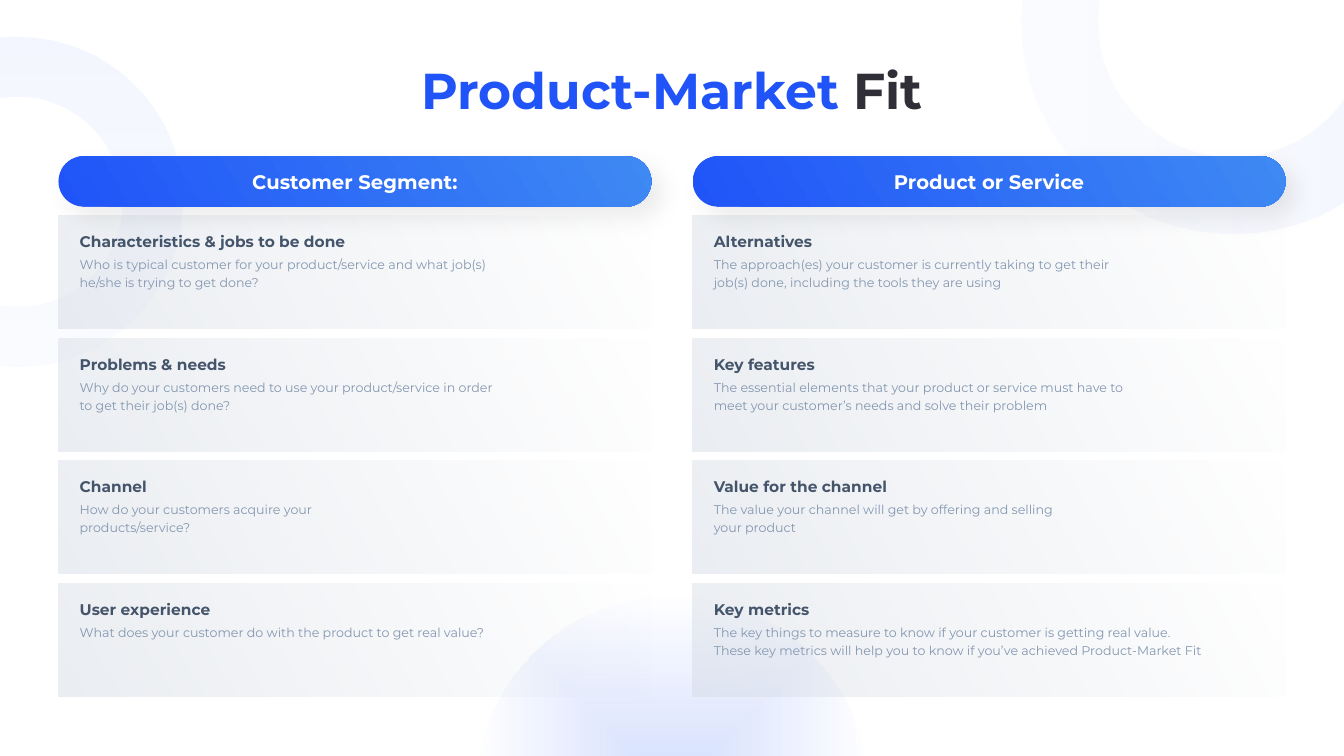
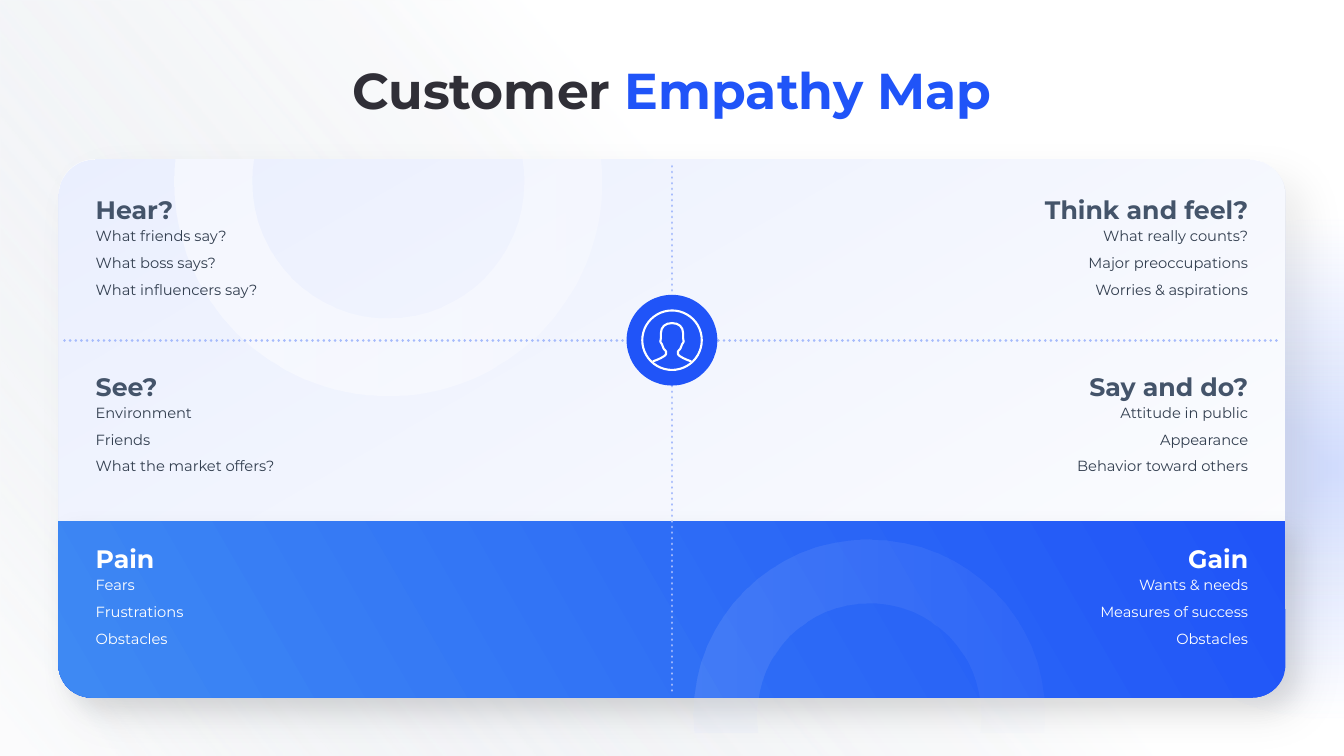
from math import acos, cos, pi, sin, tan

from lxml import etree
from pptx import Presentation
from pptx.dml.color import RGBColor
from pptx.enum.dml import MSO_LINE
from pptx.enum.shapes import MSO_CONNECTOR, MSO_SHAPE
from pptx.enum.text import MSO_ANCHOR, PP_ALIGN
from pptx.oxml import parse_xml
from pptx.oxml.ns import nsdecls, qn
from pptx.util import Inches, Pt

LEFT, CENTER, RIGHT = PP_ALIGN.LEFT, PP_ALIGN.CENTER, PP_ALIGN.RIGHT
RECTANGLE, ELLIPSE = MSO_SHAPE.RECTANGLE, MSO_SHAPE.OVAL
ROUNDED, ROUNDED_PAIR = MSO_SHAPE.ROUNDED_RECTANGLE, MSO_SHAPE.ROUND_2_SAME_RECTANGLE
STRAIGHT = MSO_CONNECTOR.STRAIGHT

FONT = "Montserrat"
BLUE = RGBColor(0x20, 0x54, 0xF8)
SKY = RGBColor(0x3E, 0x89, 0xF3)
PALE_BLUE = RGBColor(0xD2, 0xDD, 0xFE)
DOT_BLUE = RGBColor(0xA6, 0xBB, 0xFC)
GRAY = RGBColor(0xD6, 0xDC, 0xE5)
INK = RGBColor(0x30, 0x2F, 0x37)
SLATE = RGBColor(0x44, 0x54, 0x6A)
DARK_SLATE = RGBColor(0x33, 0x3F, 0x50)
MUTED = RGBColor(0x84, 0x97, 0xB0)
WHITE = RGBColor(0xFF, 0xFF, 0xFF)

BLUE_BLEND = [(0, BLUE, 100), (100, SKY, 100)]
CARD_BLEND = [(0, GRAY, 50), (100, GRAY, 0)]
GLOW_BLEND = [(0, PALE_BLUE, 100), (100, PALE_BLUE, 0)]

# Shared grid, in inches
SLIDE_WIDTH, SLIDE_HEIGHT = 13.33, 7.5
MARGIN, CONTENT_WIDTH = 0.58, 12.17
COLUMN_WIDTH, COLUMN_STEP, CARD_INDENT = 5.88, 6.29, 0.21
ROW_TOPS, ROW_HEIGHT = (2.14, 3.36, 4.57, 5.79), 1.12
CENTER_X, CENTER_Y = SLIDE_WIDTH / 2, SLIDE_HEIGHT * 0.45


def paint(shape, stops, angle=None, shadow=None):
    """Fill with (position, colour, opacity) stops, linear at angle or from the centre;
    shadow is (opacity, blur, distance)."""
    shape.line.fill.background()
    shape.shadow.inherit = False
    shape.fill.background()
    properties = shape.element.spPr
    gradient = parse_xml(f'<a:gradFill {nsdecls("a")} rotWithShape="1"><a:gsLst/></a:gradFill>')
    for position, color, opacity in stops:
        stop = etree.SubElement(gradient[0], qn("a:gs"), pos=str(position * 1000))
        rgb = etree.SubElement(stop, qn("a:srgbClr"), val=str(color))
        etree.SubElement(rgb, qn("a:alpha"), val=str(opacity * 1000))
    if angle is None:
        radial = etree.SubElement(gradient, qn("a:path"))
        radial.set("path", "shape")
        etree.SubElement(radial, qn("a:fillToRect"), l="50000", t="50000", r="50000", b="50000")
    else:
        etree.SubElement(gradient, qn("a:lin"), ang=str(angle * 60000), scaled="0")
    properties.replace(properties.find(qn("a:noFill")), gradient)
    if shadow:
        opacity, blur, distance = shadow
        outer = etree.SubElement(
            properties.find(qn("a:effectLst")), qn("a:outerShdw"), blurRad=str(Pt(blur)),
            dist=str(Pt(distance)), dir=str(45 * 60000), algn="tl", rotWithShape="0")
        rgb = etree.SubElement(outer, qn("a:srgbClr"), val="000000")
        etree.SubElement(rgb, qn("a:alpha"), val=str(opacity * 1000))


def add_text(slide, box, text, size, color, bold=False, align=LEFT, gap=4, spacing=1.2):
    text_box = slide.shapes.add_textbox(*map(Inches, box))
    frame = text_box.text_frame
    frame.margin_left = frame.margin_top = frame.margin_right = frame.margin_bottom = 0
    frame.word_wrap = True
    frame.text = text
    for index, paragraph in enumerate(frame.paragraphs):
        paragraph.alignment = align
        paragraph.line_spacing = spacing
        paragraph.space_before = Pt(gap if index else 0)
        paragraph.space_after = Pt(gap)
        for run in paragraph.runs:
            run.font.name, run.font.size = FONT, Pt(size)
            run.font.bold, run.font.color.rgb = bold, color
    for line_break in frame._txBody.iter(qn("a:br")):
        etree.SubElement(line_break, qn("a:rPr"), sz=str(int(size * 100)))
    return text_box


presentation = Presentation()
presentation.slide_width, presentation.slide_height = Inches(SLIDE_WIDTH), Inches(SLIDE_HEIGHT)
blank = presentation.slide_layouts[6]
fit_slide = presentation.slides.add_slide(blank)
empathy_slide = presentation.slides.add_slide(blank)

# Backdrop of the empathy map
map_box = (MARGIN, 1.58, CONTENT_WIDTH, 5.33)
backdrops = [
    (RECTANGLE, (0, 0, SLIDE_WIDTH, SLIDE_HEIGHT), [], [(41, WHITE, 100), (98, GRAY, 10)],
     140, None),
    (ELLIPSE, (10.73, 2.16, 4.97, 4.97), [], GLOW_BLEND, None, None),
    (ROUNDED, map_box, [0.068], [(0, WHITE, 100), (100, WHITE, 100)], 0, (8, 30, 20)),
    (ROUNDED, map_box, [0.068], [(0, PALE_BLUE, 45), (100, PALE_BLUE, 2)], 60, None),
    (ROUNDED_PAIR, (MARGIN, 5.17, CONTENT_WIDTH, 1.75), [0, 0.188], BLUE_BLEND, 150, (8, 17, 10)),
]
for kind, box, adjustments, stops, angle, shadow in backdrops:
    shape = empathy_slide.shapes.add_shape(kind, *map(Inches, box))
    for index, value in enumerate(adjustments):
        shape.adjustments[index] = value
    paint(shape, stops, angle, shadow)

# Rings cut by a straight edge: centre, radii, direction and distance of the cut, fill.
# Their points are Bezier controls, joined into curves (C) and lines (L) at the end.
curved_shapes = []
rings = [
    (fit_slide, 0.17, 2, 1.64, 1.04, pi, 0.17, PALE_BLUE, 10, 25, 270),
    (fit_slide, 12.23, 0.22, 2.1, 1.34, -pi / 2, 0.22, PALE_BLUE, 10, 25, 0),
    (empathy_slide, 3.85, 1.8, 2.12, 1.35, -pi / 2, 0.22, WHITE, 51, 35, 0),
    (empathy_slide, 8.62, 7.09, 1.74, 1.11, pi / 2, 0.18, PALE_BLUE, 5, 13, 180),
]
for slide, x, y, outer, inner, cut_angle, cut, color, first, last, angle in rings:
    points = []
    for radius, direction in ((outer, 1), (inner, -1)):
        half_gap = acos(cut / radius)
        turns = [half_gap, pi / 2, pi, 3 * pi / 2, 2 * pi - half_gap]
        angles = [cut_angle + direction * turn for turn in turns]
        points.append((x + radius * cos(angles[0]), y + radius * sin(angles[0])))
        for start, end in zip(angles, angles[1:]):
            reach = radius * 4 / 3 * tan((end - start) / 4)
            points += [
                (x + radius * cos(start) - reach * sin(start),
                 y + radius * sin(start) + reach * cos(start)),
                (x + radius * cos(end) + reach * sin(end),
                 y + radius * sin(end) - reach * cos(end)),
                (x + radius * cos(end), y + radius * sin(end))]
    points = [(Inches(px), Inches(py)) for px, py in points]
    builder = slide.shapes.build_freeform(*points[0])
    builder.add_line_segments(points[1:], close=True)
    ring = builder.convert_to_shape()
    paint(ring, [(0, color, first), (100, color, last)], angle)
    curved_shapes.append((ring, "CCCCLCCCC"))

glow = fit_slide.shapes.add_shape(ELLIPSE, *map(Inches, (4.73, 5.92, 3.87, 3.87)))
paint(glow, GLOW_BLEND)

# Titles in two colours
titles = [
    (fit_slide, ("Product-Market", BLUE), (" Fit", INK)),
    (empathy_slide, ("Customer", INK), (" Empathy Map", BLUE)),
]
for slide, (first_words, first_color), (last_words, last_color) in titles:
    title = add_text(slide, (MARGIN, 0.59, CONTENT_WIDTH, 1), first_words, 36, first_color,
                     bold=True, align=CENTER, gap=0, spacing=1)
    run = title.text_frame.paragraphs[0].add_run()
    run.text = last_words
    run.font.name, run.font.size, run.font.bold = FONT, Pt(36), True
    run.font.color.rgb = last_color

# Product-market fit: two columns of four cards; each card has heading, text, text width
columns = [
    ("Customer Segment:", [
        ("Characteristics & jobs to be done",
         "Who is typical customer for your product/service and what job(s) he/she is trying "
         "to get done?", 4.1),
        ("Problems & needs",
         "Why do your customers need to use your product/service in order to get their "
         "job(s) done?", 4.1),
        ("Channel", "How do your customers acquire your \vproducts/service?", 4.1),
        ("User experience", "What does your customer do with the product to get real value?", 4.1),
    ]),
    ("Product or Service", [
        ("Alternatives",
         "The approach(es) your customer is currently taking to get their job(s) done, "
         "including the tools they are using", 4.1),
        ("Key features",
         "The essential elements that your product or service must have to meet your "
         "customer’s needs and solve their problem", 4.1),
        ("Value for the channel",
         "The value your channel will get by offering and selling \vyour product", 4.1),
        ("Key metrics",
         "The key things to measure to know if your customer is getting real value. These key "
         "metrics will help you to know if you’ve achieved Product-Market Fit", 4.89),
    ]),
]
for column, (header, cards) in enumerate(columns):
    left = MARGIN + column * COLUMN_STEP
    text_left = left + CARD_INDENT
    for top, (heading, description, width) in zip(ROW_TOPS, cards):
        card = fit_slide.shapes.add_shape(
            RECTANGLE, *map(Inches, (left, top, COLUMN_WIDTH, ROW_HEIGHT)))
        paint(card, CARD_BLEND, 330)
        add_text(fit_slide, (text_left, top + 0.38, width, 0.26), description, 9, MUTED)
        add_text(fit_slide, (text_left, top + 0.13, 3.47, 0.26), heading, 11, SLATE, bold=True)

    pill = fit_slide.shapes.add_shape(ROUNDED, *map(Inches, (left, 1.55, COLUMN_WIDTH, 0.5)))
    pill.adjustments[0] = 0.5
    paint(pill, BLUE_BLEND, 330, (8, 17, 10))
    pill.text_frame.text = header
    pill.text_frame.vertical_anchor = MSO_ANCHOR.MIDDLE
    paragraph = pill.text_frame.paragraphs[0]
    paragraph.alignment = CENTER
    font = paragraph.runs[0].font
    font.name, font.size, font.bold = FONT, Pt(14), True
    font.color.rgb = WHITE

# Empathy map: three bands, each with a left and a right topic
bands = [
    (1.87, SLATE, DARK_SLATE,
     ("Hear?", "What friends say?\nWhat boss says?\nWhat influencers say?"),
     ("Think and feel?", "What really counts?\nMajor preoccupations\nWorries & aspirations")),
    (3.62, SLATE, DARK_SLATE,
     ("See?", "Environment\nFriends\nWhat the market offers?"),
     ("Say and do?", "Attitude in public\nAppearance\nBehavior toward others")),
    (5.33, WHITE, WHITE,
     ("Pain", "Fears\nFrustrations\nObstacles"),
     ("Gain", "Wants & needs\nMeasures of success\nObstacles")),
]
for top, heading_color, text_color, *topics in bands:
    sides = ((0.95, 0.95, LEFT), (8.91, 8.28, RIGHT))
    for (heading, answers), (heading_left, answers_left, align) in zip(topics, sides):
        add_text(empathy_slide, (answers_left, top + 0.35, 4.1, 0.74), answers, 10.5,
                 text_color, align=align, gap=2)
        add_text(empathy_slide, (heading_left, top, 3.47, 0.26), heading, 18, heading_color,
                 bold=True, align=align)

for ends in ((0.64, CENTER_Y, 12.69, CENTER_Y), (CENTER_X, 1.65, CENTER_X, 6.89)):
    divider = empathy_slide.shapes.add_connector(STRAIGHT, *map(Inches, ends))
    divider.line.color.rgb = DOT_BLUE
    divider.line.width = Pt(2)
    divider.line.dash_style = MSO_LINE.ROUND_DOT
    properties = divider.element.spPr
    properties.find(qn("a:ln")).set("cap", "rnd")
    etree.SubElement(properties, qn("a:effectLst"))

# Person badge: the right half of the figure, from shoulder to crown, is mirrored
badge = empathy_slide.shapes.add_group_shape()
disc, circle = [
    badge.shapes.add_shape(ELLIPSE, *map(Inches, (CENTER_X - size / 2, CENTER_Y - size / 2,
                                                 size, size)))
    for size in (0.9, 0.59)]
disc.fill.solid()
disc.fill.fore_color.rgb = BLUE
disc.line.fill.background()
disc.shadow.inherit = False

half = [(0.19, 0.21), (0.13, 0.19), (0.07, 0.16), (0.06, 0.14), (0.06, 0.11),
        (0.08, 0.1), (0.09, 0.07), (0.1, 0.04), (0.12, 0.03), (0.12, 0), (0.11, -0.02),
        (0.11, -0.07), (0.11, -0.13), (0.07, -0.17), (0, -0.17)]
outline = half + [(-x, y) for x, y in reversed(half[:-1])]
points = [(Inches(CENTER_X + x), Inches(CENTER_Y + y)) for x, y in outline]
builder = badge.shapes.build_freeform(*points[0])
builder.add_line_segments(points[1:], close=False)
figure = builder.convert_to_shape()
curved_shapes.append((figure, "CLCCLCCLCCLC"))
for shape in (circle, figure):
    shape.fill.background()
    shape.line.color.rgb = WHITE
    shape.line.width = Pt(1.5)
    shape.shadow.inherit = False

for shape, commands in curved_shapes:
    segments = iter(list(shape.element.iter(qn("a:lnTo"))))
    for command in commands:
        segment = next(segments)
        if command == "C":
            segment.addprevious(curve := etree.Element(qn("a:cubicBezTo")))
            for control in (segment, next(segments), next(segments)):
                curve.append(control[0])
                control.getparent().remove(control)

presentation.save("out.pptx")
